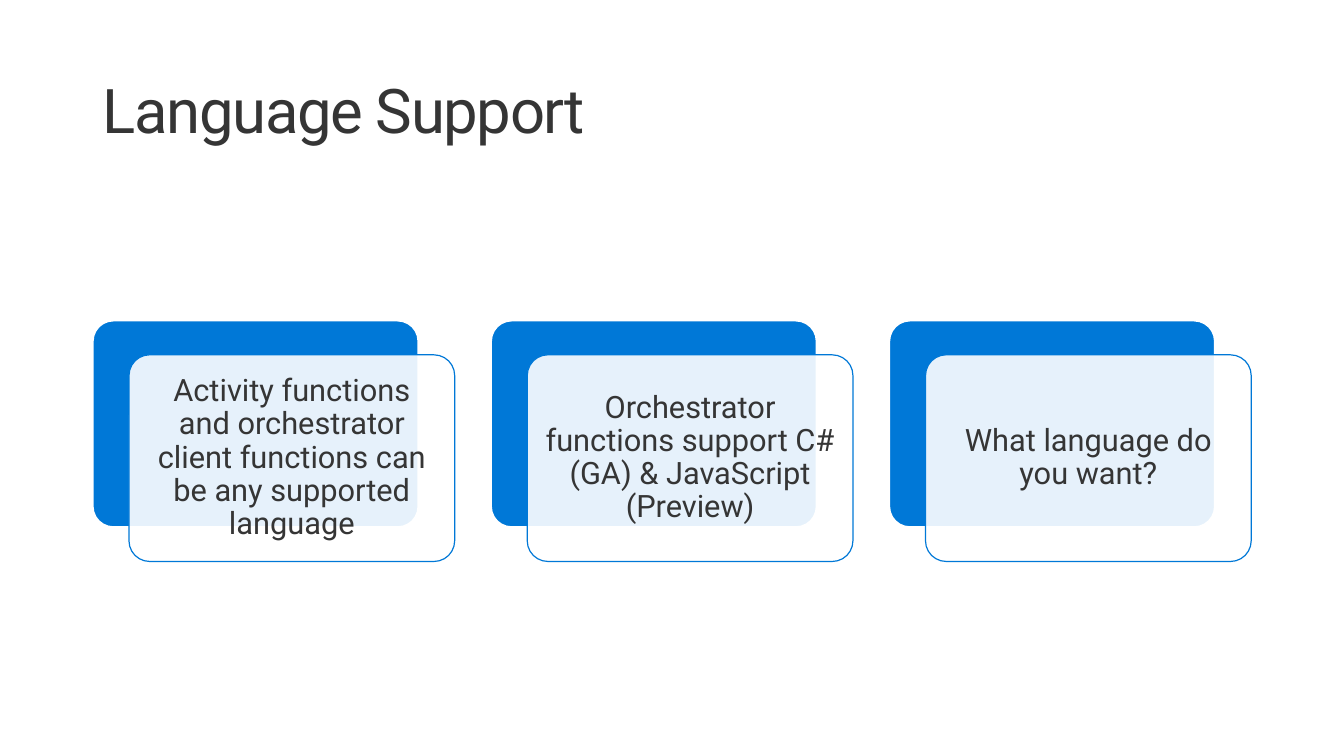
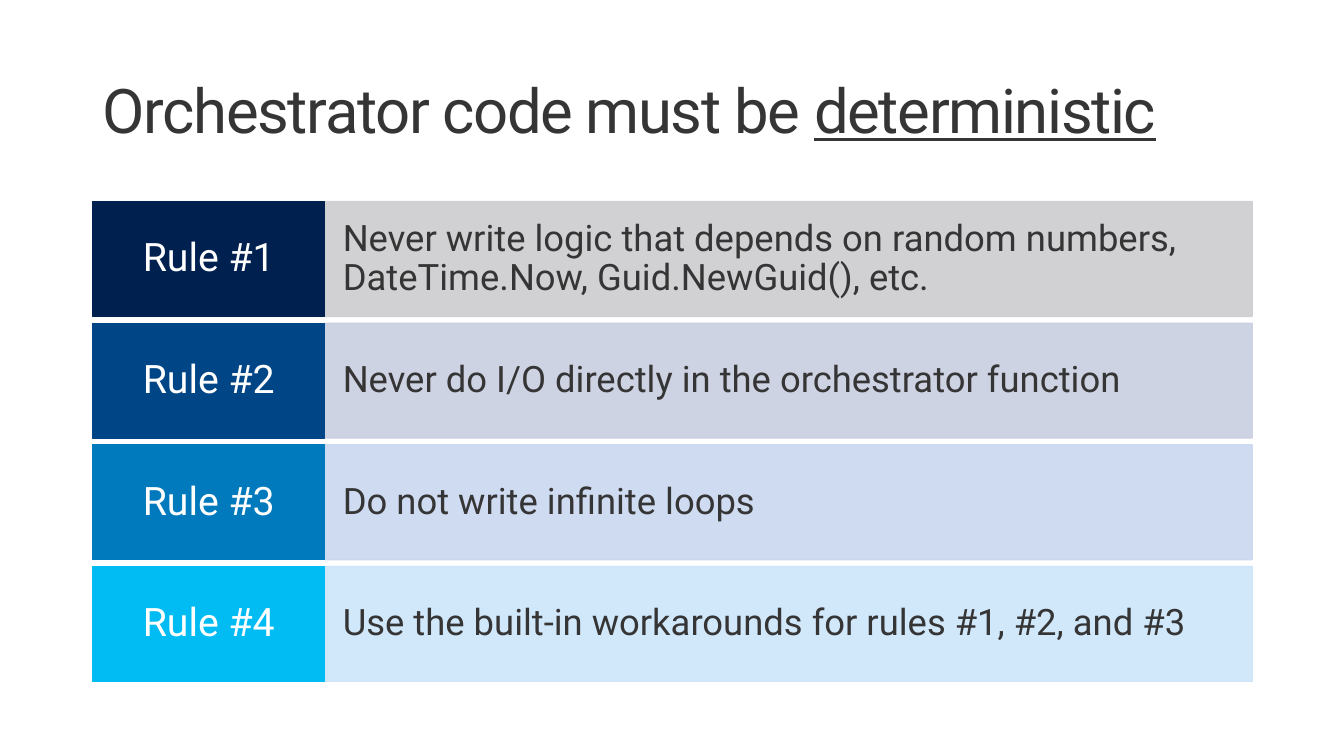
"""Build two slides on language support and the rules for orchestrator code."""
from lxml.etree import SubElement
from pptx import Presentation
from pptx.dml.color import RGBColor
from pptx.enum.shapes import MSO_SHAPE as Shape
from pptx.enum.text import MSO_ANCHOR as Anchor, MSO_AUTO_SIZE as AutoSize, PP_ALIGN as Align
from pptx.oxml.ns import qn
from pptx.util import Inches, Pt

COLORS = {"text": "353535", "white": "FFFFFF", "blue": "0078D7"}
FONT = "Roboto"
LEFT, WIDTH = 0.92, 11.5


def add_titled_slide(deck, parts):
    slide = deck.slides.add_slide(deck.slide_layouts[5])
    title = slide.shapes.title
    title.left, title.top = Inches(LEFT), Inches(0.4)
    title.width, title.height = Inches(WIDTH), Inches(1.45)
    frame = title.text_frame
    frame.auto_size = AutoSize.NONE
    frame.vertical_anchor = Anchor.MIDDLE
    para = frame.paragraphs[0]
    para.alignment = Align.LEFT
    para.line_spacing = 0.9
    for text, underlined in parts:
        span = para.add_run()
        span.text = text
        span.font.name, span.font.size = FONT, Pt(44)
        span.font.color.rgb = RGBColor.from_string(COLORS["text"])
        if underlined:
            span.font.underline = True
        span.font._element.set("spc", "-100")
    return slide


def add_box(slide, kind, place, fill, line, line_width=0.85, fill_alpha=100, line_alpha=100,
            text="", size=22, color="text", align=Align.CENTER, insets=(0.09, 0.09)):
    box = slide.shapes.add_shape(kind, *[Inches(value) for value in place])
    box.shadow.inherit = False
    if kind == Shape.ROUNDED_RECTANGLE:
        box.adjustments[0] = 0.1
    box.fill.solid()
    box.fill.fore_color.rgb = RGBColor.from_string(fill)
    box.line.color.rgb = RGBColor.from_string(line)
    box.line.width = Pt(line_width)
    properties = box._element.spPr
    for parent, alpha in ((properties, fill_alpha), (properties.find(qn("a:ln")), line_alpha)):
        if alpha < 100:
            tint = parent.find(qn("a:solidFill")).find(qn("a:srgbClr"))
            SubElement(tint, qn("a:alpha")).set("val", str(alpha * 1000))
    if text:
        frame = box.text_frame
        frame.word_wrap = True
        frame.vertical_anchor = Anchor.MIDDLE
        frame.margin_left = frame.margin_right = Inches(insets[0])
        frame.margin_top = frame.margin_bottom = Inches(insets[1])
        para = frame.paragraphs[0]
        para.text = text
        para.alignment = align
        para.line_spacing = 0.9
        font = para.runs[0].font
        font.name, font.size = FONT, Pt(size)
        font.color.rgb = RGBColor.from_string(COLORS[color])


deck = Presentation()
deck.slide_width, deck.slide_height = Inches(13.33), Inches(7.5)

language_slide = add_titled_slide(deck, [("Language Support", False)])
statements = [
    "Activity functions and orchestrator client functions can be any supported language",
    "Orchestrator functions support C# (GA) & JavaScript (Preview)",
    "What language do you want?",
]
card_width, card_height, card_pitch = 3.23, 2.05, 3.95
for index, statement in enumerate(statements):
    card_left = LEFT + index * card_pitch
    add_box(language_slide, Shape.ROUNDED_RECTANGLE, (card_left, 3.18, card_width, card_height),
            COLORS["blue"], COLORS["white"], line_width=1.35)
    add_box(language_slide, Shape.ROUNDED_RECTANGLE,
            (card_left + 0.36, 3.52, card_width, card_height),
            COLORS["white"], COLORS["blue"], fill_alpha=90, text=statement)

rules_slide = add_titled_slide(
    deck, [("Orchestrator code must be ", False), ("deterministic", True)])
rules = [
    ("Never write logic that depends on random numbers, DateTime.Now, Guid.NewGuid(), etc.",
     "002050", "CCCDD0"),
    ("Never do I/O directly in the orchestrator function", "004686", "C9CFE2"),
    ("Do not write infinite loops", "007ABC", "C9D8F0"),
    ("Use the built-in workarounds for rules #1, #2, and #3", "00BCF2", "CCE5FA"),
]
rows_top, rows_height, row_height, label_width = 2, 4.76, 1.14, 2.3
row_pitch = (rows_height - row_height) / (len(rules) - 1)
for index, (rule, dark, pale) in enumerate(rules):
    row_top = rows_top + index * row_pitch
    add_box(rules_slide, Shape.RECTANGLE,
            (LEFT + label_width, row_top, WIDTH - label_width, row_height),
            pale, pale, fill_alpha=90, line_alpha=90,
            text=rule, size=26, align=Align.LEFT, insets=(0.18, 0.29))
    add_box(rules_slide, Shape.RECTANGLE, (LEFT, row_top, label_width, row_height), dark, dark,
            text=f"Rule #{index + 1}", size=28, color="white", insets=(0.12, 0.11))

deck.save("out.pptx")
